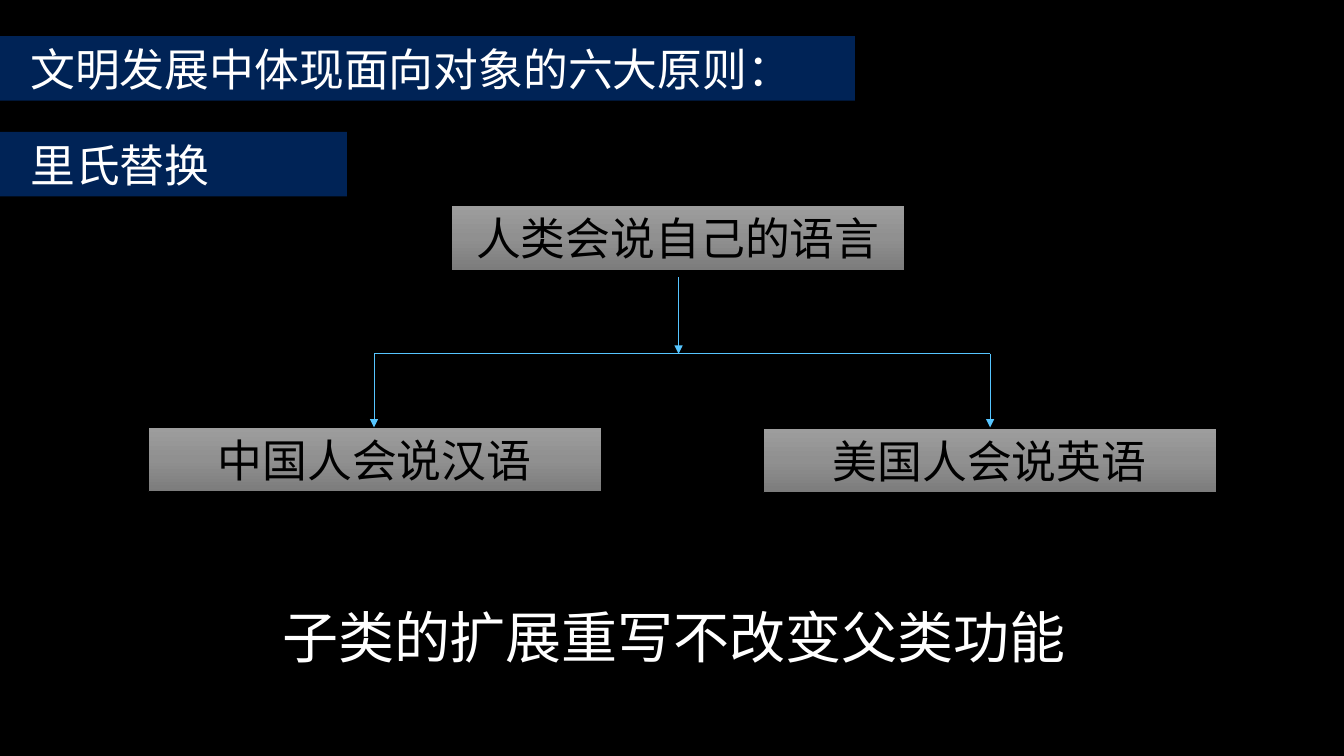
"""Build a slide on the Liskov substitution principle, shown with spoken languages."""
import copy

import pptx
import pptx.dml.color
import pptx.enum.dml
import pptx.enum.shapes
import pptx.enum.text
import pptx.oxml.ns
import pptx.util
from lxml import etree

Inches = pptx.util.Inches
RGBColor = pptx.dml.color.RGBColor
BLACK = RGBColor(0x00, 0x00, 0x00)
WHITE = RGBColor(0xFF, 0xFF, 0xFF)
NAVY = RGBColor(0x00, 0x23, 0x56)
SKY = RGBColor(0x56, 0xC5, 0xFF)
GREYS = [RGBColor(0x9D, 0x9D, 0x9D), RGBColor(0x90, 0x90, 0x90), RGBColor(0x7C, 0x7C, 0x7C)]
FONT = "Noto Sans CJK SC"
BAR_HEIGHT = 0.64
CLASS_WIDTH = 4.49


def write(shape, text, size, color, align, indent=0.1):
    frame = shape.text_frame
    frame.text = text
    frame.word_wrap = False
    frame.vertical_anchor = pptx.enum.text.MSO_ANCHOR.MIDDLE
    frame.margin_left = Inches(indent)
    frame.margin_top = frame.margin_bottom = 0
    frame.paragraphs[0].alignment = align
    run = frame.paragraphs[0].runs[0]
    run.font.size = pptx.util.Pt(size)
    run.font.color.rgb = color
    run.font.name = FONT
    etree.SubElement(run.font._element, pptx.oxml.ns.qn("a:ea")).set("typeface", FONT)


def add_bar(left, top, width):
    bar = slide.shapes.add_shape(
        pptx.enum.shapes.MSO_SHAPE.RECTANGLE,
        Inches(left), Inches(top), Inches(width), Inches(BAR_HEIGHT))
    bar.shadow.inherit = False
    return bar


presentation = pptx.Presentation()
presentation.slide_width = Inches(13.33)
presentation.slide_height = Inches(7.5)
slide = presentation.slides.add_slide(presentation.slide_layouts[6])
slide.background.fill.solid()
slide.background.fill.fore_color.rgb = BLACK

headings = [("文明发展中体现面向对象的六大原则：", 0.36, 8.48), ("里氏替换", 1.31, 3.44)]
for text, top, width in headings:
    heading = add_bar(0, top, width)
    heading.fill.solid()
    heading.fill.fore_color.rgb = NAVY
    heading.line.fill.background()
    write(heading, text, 32, WHITE, pptx.enum.text.PP_ALIGN.LEFT, indent=0.3)

classes = [
    ("人类会说自己的语言", 4.48, 2.04),
    ("中国人会说汉语", 1.47, 4.24),
    ("美国人会说英语", 7.57, 4.25),
]
for text, left, top in classes:
    class_box = add_bar(left, top, CLASS_WIDTH)
    class_box.fill.gradient()
    class_box.fill.gradient_angle = 270
    stop_list = class_box.fill._xPr.find(".//" + pptx.oxml.ns.qn("a:gsLst"))
    stop_list.insert(1, copy.deepcopy(stop_list[0]))
    for stop, position, grey in zip(class_box.fill.gradient_stops, (0, 0.5, 1), GREYS):
        stop.position = position
        stop.color.rgb = grey
    class_box.line.color.rgb = BLACK
    class_box.line.width = pptx.util.Pt(0.5)
    write(class_box, text, 32, BLACK, pptx.enum.text.PP_ALIGN.CENTER)

parent_x, left_x, right_x = (round(left + CLASS_WIDTH / 2, 2) for _, left, _ in classes)
fork_y, child_y = 3.51, 4.24
branches = [
    (parent_x, 2.75, parent_x, fork_y, True),
    (left_x, fork_y, right_x, fork_y, False),
    (left_x, fork_y, left_x, child_y, True),
    (right_x, fork_y, right_x, child_y, True),
]
for x1, y1, x2, y2, has_arrow in branches:
    branch = slide.shapes.add_connector(
        pptx.enum.shapes.MSO_CONNECTOR.STRAIGHT, Inches(x1), Inches(y1), Inches(x2), Inches(y2))
    branch.line.color.rgb = SKY
    branch.line.width = pptx.util.Pt(0.5)
    if has_arrow:
        tail = etree.SubElement(branch.line._get_or_add_ln(), pptx.oxml.ns.qn("a:tailEnd"))
        tail.set("type", "triangle")
    etree.SubElement(branch._element.spPr, pptx.oxml.ns.qn("a:effectLst"))

conclusion = slide.shapes.add_textbox(Inches(2.7), Inches(5.93), Inches(8.06), Inches(0.77))
write(conclusion, "子类的扩展重写不改变父类功能", 40, WHITE, pptx.enum.text.PP_ALIGN.LEFT)

presentation.save("out.pptx")
